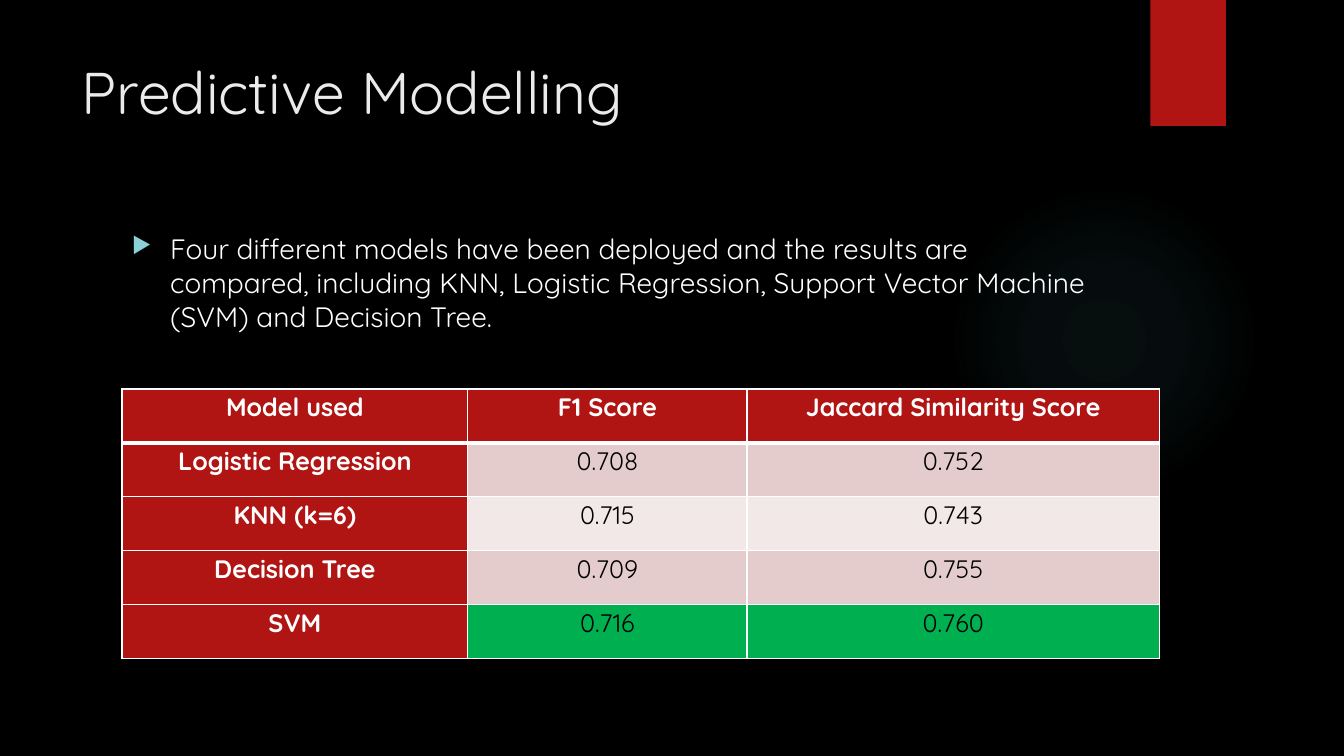
import pptx
import pptx.util
import pptx.dml.color
import pptx.enum.shapes
import pptx.enum.text
import pptx.oxml
import pptx.oxml.ns
from dataclasses import dataclass
from pptx.util import Inches

TITLE = "Predictive Modelling"
SUMMARY = ("Four different models have been deployed and the results are compared, "
           "including KNN, Logistic Regression, Support Vector Machine (SVM) and Decision Tree.")
SCORES = [
    ("Model used", "F1 Score", "Jaccard Similarity Score"),
    ("Logistic Regression", "0.708", "0.752"),
    ("KNN (k=6)", "0.715", "0.743"),
    ("Decision Tree", "0.709", "0.755"),
    ("SVM", "0.716", "0.760"),
]
BEST_MODEL = "SVM"
COLUMN_WIDTHS = (3.43, 2.77, 4.09)
ROW_HEIGHT = 0.535
GLOW_STOPS = ((0, 7), (36, 6), (69, 0))  # position %, opacity %


@dataclass(frozen=True)
class Theme:
    font: str = "Quicksand"
    background: str = "000000"
    title: str = "EBEBEB"
    light: str = "FFFFFF"
    dark: str = "000000"
    accent: str = "B01513"
    bands: tuple = ("E4CCCC", "F2E8E7")
    best: str = "00B050"
    glow: str = "50B9C1"
    bullet: str = "8AD0D6"
    title_size: int = 42
    summary_size: int = 20
    table_size: int = 18
    border: int = 1
    header_rule: int = 3


THEME = Theme()


def rgb(color):
    return pptx.dml.color.RGBColor.from_string(color)


def xml(tag, inner, attributes=""):
    namespace = pptx.oxml.ns.nsdecls("a")
    return pptx.oxml.parse_xml(f"<a:{tag} {namespace} {attributes}>{inner}</a:{tag}>")


def add_run(paragraph, text, size, color, bold=False):
    run = paragraph.add_run()
    run.text = text
    run.font.name = THEME.font
    run.font.size = pptx.util.Pt(size)
    run.font.bold = bold
    run.font.color.rgb = rgb(color)


def add_decoration(slide, kind, left, top, width, height):
    decoration = slide.shapes.add_shape(
        kind, Inches(left), Inches(top), Inches(width), Inches(height))
    decoration.shadow.inherit = False
    decoration.line.fill.background()
    decoration.fill.solid()
    decoration.fill.fore_color.rgb = rgb(THEME.accent)
    return decoration


def add_glow(slide):
    glow = add_decoration(slide, pptx.enum.shapes.MSO_SHAPE.OVAL, 9.41, 1.83, 3.08, 3.08)
    stops = "".join(
        f'<a:gs pos="{position * 1000}"><a:srgbClr val="{THEME.glow}">'
        f'<a:alpha val="{opacity * 1000}"/></a:srgbClr></a:gs>'
        for position, opacity in GLOW_STOPS)
    gradient = xml("gradFill", f'<a:gsLst>{stops}</a:gsLst><a:path path="circle">'
                   '<a:fillToRect l="50000" t="50000" r="50000" b="50000"/></a:path>')
    properties = glow.element.spPr
    properties.replace(properties.find(pptx.oxml.ns.qn("a:solidFill")), gradient)


def add_title(slide):
    title = slide.shapes.title
    title.left, title.top = Inches(0.71), Inches(0.5)
    title.width, title.height = Inches(10.29), Inches(1.53)
    frame = title.text_frame
    frame.vertical_anchor = pptx.enum.text.MSO_ANCHOR.TOP
    frame.paragraphs[0].alignment = pptx.enum.text.PP_ALIGN.LEFT
    add_run(frame.paragraphs[0], TITLE, THEME.title_size, THEME.title)


def add_summary(slide):
    frame = slide.shapes.add_textbox(
        Inches(1.21), Inches(2.25), Inches(9.78), Inches(1.25)).text_frame
    frame.word_wrap = True
    paragraph = frame.paragraphs[0]
    paragraph.space_before = pptx.util.Pt(10)
    properties = paragraph._p.get_or_add_pPr()
    properties.set("marL", str(Inches(0.38)))
    properties.set("indent", str(-Inches(0.38)))
    properties.append(xml("buClr", f'<a:srgbClr val="{THEME.bullet}"/>'))
    properties.append(xml("buSzPct", "", 'val="80000"'))
    properties.append(xml("buChar", "", 'char="▶"'))
    add_run(paragraph, SUMMARY, THEME.summary_size, THEME.light)


def set_borders(cell, top, bottom):
    """Draw all four cell edges; top and bottom are widths in points."""
    properties = cell._tc.get_or_add_tcPr()
    edges = (("lnL", THEME.border), ("lnR", THEME.border), ("lnT", top), ("lnB", bottom))
    for index, (edge, width) in enumerate(edges):
        line = f'<a:solidFill><a:srgbClr val="{THEME.light}"/></a:solidFill>'
        properties.insert(index, xml(edge, line, f'w="{pptx.util.Pt(width)}"'))


def fill_cell(cell, text, row, column):
    heading = row == 0 or column == 0
    if heading:
        fill = THEME.accent
    elif SCORES[row][0] == BEST_MODEL:
        fill = THEME.best
    else:
        fill = THEME.bands[(row - 1) % 2]
    cell.fill.solid()
    cell.fill.fore_color.rgb = rgb(fill)
    cell.margin_left = cell.margin_right = Inches(0.07)
    cell.margin_top = cell.margin_bottom = 0
    set_borders(cell,
                top=THEME.header_rule if row == 1 else THEME.border,
                bottom=THEME.header_rule if row == 0 else THEME.border)
    paragraph = cell.text_frame.paragraphs[0]
    paragraph.alignment = pptx.enum.text.PP_ALIGN.CENTER
    paragraph.line_spacing = 1.07
    add_run(paragraph, text, THEME.table_size,
            THEME.light if heading else THEME.dark, heading)


def add_scores(slide):
    scores = slide.shapes.add_table(
        len(SCORES), len(COLUMN_WIDTHS), Inches(1.21), Inches(3.86),
        Inches(sum(COLUMN_WIDTHS)), Inches(ROW_HEIGHT * len(SCORES))).table
    for column, width in zip(scores.columns, COLUMN_WIDTHS):
        column.width = Inches(width)
    for row, texts in enumerate(SCORES):
        scores.rows[row].height = Inches(ROW_HEIGHT)
        for column, text in enumerate(texts):
            fill_cell(scores.cell(row, column), text, row, column)


def main():
    deck = pptx.Presentation()
    deck.slide_width, deck.slide_height = Inches(13.33), Inches(7.5)
    slide = deck.slides.add_slide(deck.slide_layouts.get_by_name("Title Only"))
    slide.background.fill.solid()
    slide.background.fill.fore_color.rgb = rgb(THEME.background)
    add_glow(slide)
    add_decoration(slide, pptx.enum.shapes.MSO_SHAPE.RECTANGLE, 11.41, 0, 0.75, 1.25)
    add_title(slide)
    add_summary(slide)
    add_scores(slide)
    deck.save("out.pptx")


if __name__ == "__main__":
    main()
